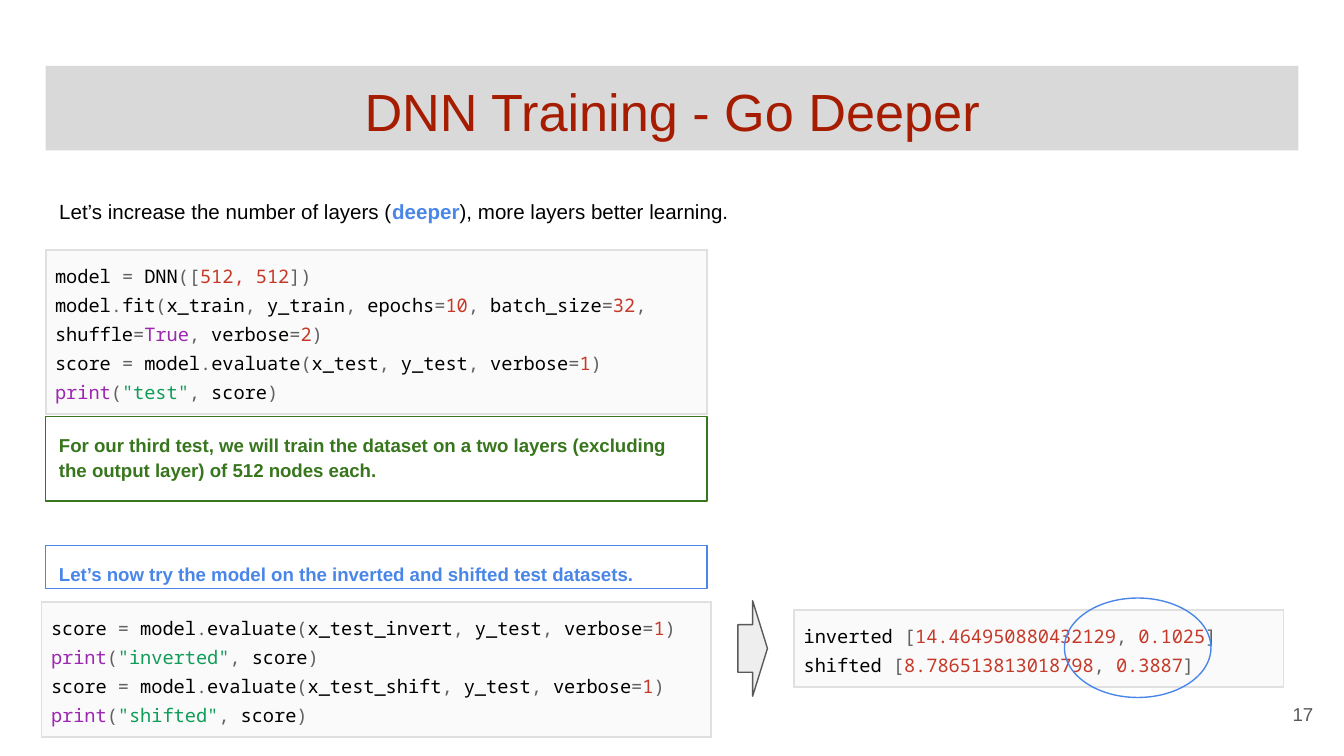
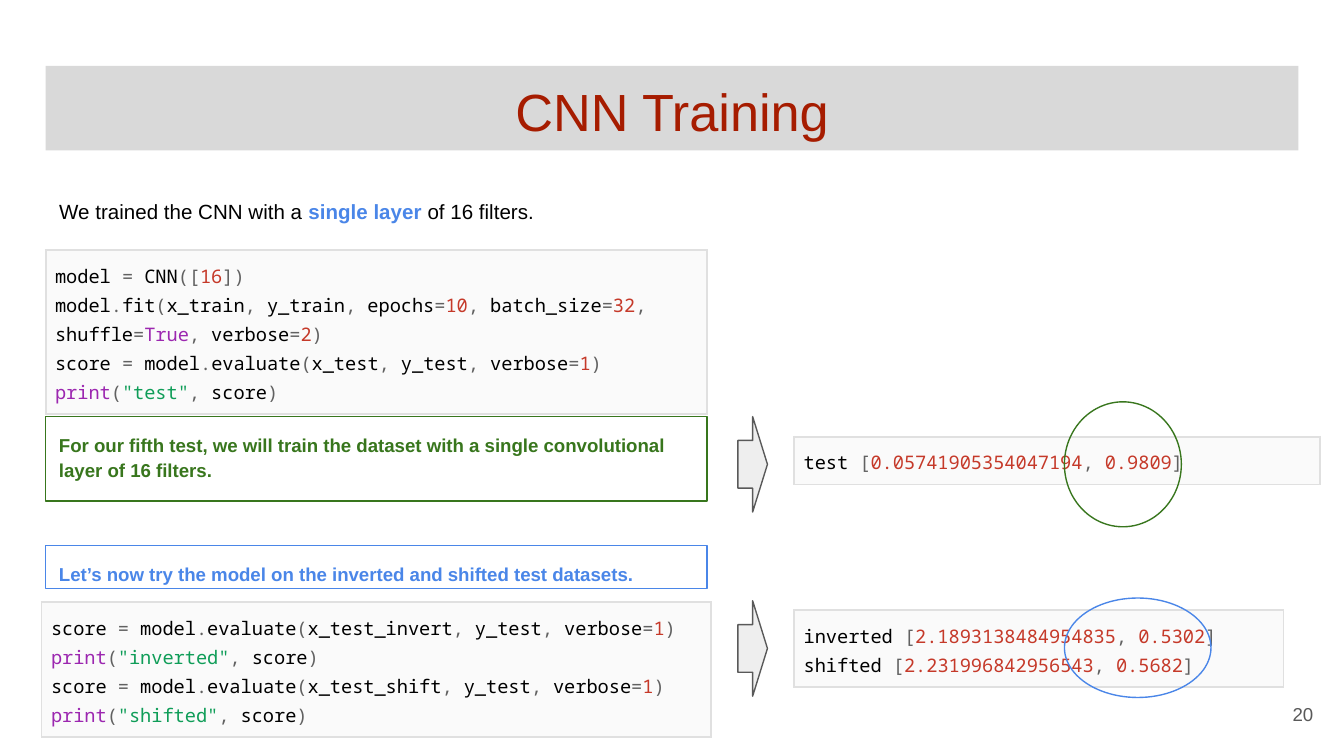
"""Build two slides on training a deeper DNN and a CNN."""
import pptx
import pptx.dml.color
import pptx.enum.shapes
import pptx.enum.text
import pptx.oxml
import pptx.oxml.ns
import pptx.util

Inches = pptx.util.Inches
Pt = pptx.util.Pt
RGBColor = pptx.dml.color.RGBColor
MSO_SHAPE = pptx.enum.shapes.MSO_SHAPE
MSO_ANCHOR = pptx.enum.text.MSO_ANCHOR
PP_ALIGN = pptx.enum.text.PP_ALIGN

COLORS = {
    "title": "A61C00", "band": "D9D9D9", "text": "000000", "number": "595959",
    "green": "38761D", "blue": "4A86E8", "arrow": "EEEEEE",
    "code_fill": "FAFAFA", "code_border": "E0E0E0", "symbol": "616161",
    "value": "C53929", "keyword": "9C27B0", "string": "0F9D58",
}
BODY_FONT = "Arial"
CODE_FONT = "Noto Sans Mono"
LEFT, BOX_WIDTH, FULL_WIDTH = 0.34, 4.92, 9.32

TRAINING_CODE = [
    "model|.|fit|(|x_train|,| y_train|,| epochs|=|10|,| batch_size|=|32|,| shuffle|=|True|,| verbose|=|2|)",
    "score |=| model|.|evaluate|(|x_test|,| y_test|,| verbose|=|1|)",
    'print|(|"test"|,| score|)',
]
EVALUATION_CODE = [
    "score |=| model|.|evaluate|(|x_test_invert|,| y_test|,| verbose|=|1|)",
    'print|(|"inverted"|,| score|)',
    "score |=| model|.|evaluate|(|x_test_shift|,| y_test|,| verbose|=|1|)",
    'print|(|"shifted"|,| score|)',
]
TRY_TEXT = "Let’s now try the model on the inverted and shifted test datasets."

SLIDES = [
    {
        "title": "DNN Training - Go Deeper",
        "number": "17",
        "lead": ("Let’s increase the number of layers (", "deeper", "), more layers better learning."),
        "model": "model |=| DNN|([|512, 512|])",
        "note": "For our third test, we will train the dataset on a two layers "
                "(excluding the output layer) of 512 nodes each.",
        "shifted": ["inverted |[|14.464950880432129|, |0.1025|]",
                    "shifted |[|8.786513813018798|, |0.3887|]"],
        "test": [],
    },
    {
        "title": "CNN Training",
        "number": "20",
        "lead": ("We trained the CNN with a ", "single layer", " of 16 filters."),
        "model": "model |=| CNN|([|16|])",
        "note": "For our fifth test, we will train the dataset with a single "
                "convolutional layer of 16 filters.",
        "shifted": ["inverted |[|2.1893138484954835|, |0.5302|]",
                    "shifted |[|2.231996842956543|, |0.5682|]"],
        "test": ["test |[|0.05741905354047194|, |0.9809|]"],
    },
]


def add_run(paragraph, text, color, size, font=BODY_FONT, bold=False):
    run = paragraph.add_run()
    run.text = text
    run.font.name = font
    run.font.size = Pt(size)
    run.font.bold = bold
    run.font.color.rgb = RGBColor.from_string(COLORS[color])


def add_code(slide, left, top, width, height, lines):
    table = slide.shapes.add_table(
        1, 1, Inches(left), Inches(top), Inches(width), Inches(height)).table
    table.first_row = False
    table.horz_banding = False
    cell = table.cell(0, 0)
    cell.margin_left = cell.margin_right = Inches(0.07)
    cell.margin_top = cell.margin_bottom = Inches(0.07)
    for side in ("lnL", "lnR", "lnT", "lnB"):
        cell._tc.get_or_add_tcPr().append(pptx.oxml.parse_xml(
            f'<a:{side} {pptx.oxml.ns.nsdecls("a")} w="12700"><a:solidFill>'
            f'<a:srgbClr val="{COLORS["code_border"]}"/></a:solidFill></a:{side}>'))
    cell.fill.solid()
    cell.fill.fore_color.rgb = RGBColor.from_string(COLORS["code_fill"])
    for index, line in enumerate(lines):
        paragraph = cell.text_frame.add_paragraph() if index else cell.text_frame.paragraphs[0]
        paragraph.line_spacing = 1.15
        for token in line.split("|"):
            word = token.strip()
            if word in ("print", "True"):
                color = "keyword"
            elif word[0] == '"':
                color = "string"
            elif word[0].isdigit():
                color = "value"
            elif word[0].isalpha():
                color = "text"
            else:
                color = "symbol"
            add_run(paragraph, token, color, 10, CODE_FONT)


presentation = pptx.Presentation()
presentation.slide_width = Inches(10)
presentation.slide_height = Inches(10) * 9 // 16

for content in SLIDES:
    slide = presentation.slides.add_slide(presentation.slide_layouts[1])
    title, lead = slide.placeholders
    number = slide.shapes.add_textbox(Inches(9.27), Inches(5.1), Inches(0.6), Inches(0.43))

    for shape, top in ((title, 0.49), (lead, 1.35)):
        shape.left, shape.top = Inches(LEFT), Inches(top)
        shape.width, shape.height = Inches(FULL_WIDTH), Inches(0.63)
    for shape in (title, lead, number):
        frame = shape.text_frame
        frame.word_wrap = True
        frame.auto_size = pptx.enum.text.MSO_AUTO_SIZE.NONE
        frame.vertical_anchor = MSO_ANCHOR.TOP
        frame.margin_left = frame.margin_right = Inches(0.1)
        frame.margin_top = frame.margin_bottom = Inches(0.1)

    title.fill.solid()
    title.fill.fore_color.rgb = RGBColor.from_string(COLORS["band"])
    paragraph = title.text_frame.paragraphs[0]
    paragraph.alignment = PP_ALIGN.CENTER
    add_run(paragraph, content["title"], "title", 28)

    number.text_frame.vertical_anchor = MSO_ANCHOR.MIDDLE
    paragraph = number.text_frame.paragraphs[0]
    paragraph.alignment = PP_ALIGN.RIGHT
    add_run(paragraph, content["number"], "number", 10)

    paragraph = lead.text_frame.paragraphs[0]
    properties = paragraph._p.get_or_add_pPr()
    properties.set("marL", "0")
    properties.set("indent", "0")
    properties.append(pptx.oxml.parse_xml(f'<a:buNone {pptx.oxml.ns.nsdecls("a")}/>'))
    paragraph.space_before = Pt(0)
    paragraph.line_spacing = 1.15
    before, highlight, after = content["lead"]
    add_run(paragraph, before, "text", 11)
    add_run(paragraph, highlight, "blue", 11, bold=True)
    add_run(paragraph, after, "text", 11)

    add_code(slide, LEFT, 1.86, BOX_WIDTH, 1.22, [content["model"]] + TRAINING_CODE)
    add_code(slide, 0.31, 4.48, 4.98, 1, EVALUATION_CODE)

    for text, color, top, height in (
            (content["note"], "green", 3.1, 0.63), (TRY_TEXT, "blue", 4.06, 0.32)):
        box = slide.shapes.add_shape(
            MSO_SHAPE.RECTANGLE, Inches(LEFT), Inches(top), Inches(BOX_WIDTH), Inches(height))
        box.shadow.inherit = False
        box.fill.background()
        box.line.color.rgb = RGBColor.from_string(COLORS[color])
        box.line.width = Pt(0.75)
        frame = box.text_frame
        frame.word_wrap = True
        frame.vertical_anchor = MSO_ANCHOR.TOP
        frame.margin_left = frame.margin_right = Inches(0.1)
        frame.margin_top = frame.margin_bottom = Inches(0.1)
        paragraph = frame.paragraphs[0]
        paragraph.alignment = PP_ALIGN.LEFT
        paragraph.line_spacing = 1.15
        add_run(paragraph, text, color, 10, bold=True)

    for lines, code_top, code_width, code_height, arrow_top, color, ring_top, ring_width, ring_height in (
            (content["shifted"], 4.54, 3.64, 0.56, 4.47, "blue", 4.45, 1.09, 0.74),
            (content["test"], 3.25, 3.91, 0.32, 3.1, "green", 2.99, 0.87, 0.93)):
        if not lines:
            continue
        add_code(slide, 5.91, code_top, code_width, code_height, lines)
        arrow = slide.shapes.add_shape(
            MSO_SHAPE.RIGHT_ARROW, Inches(5.49), Inches(arrow_top), Inches(0.22), Inches(0.71))
        arrow.fill.solid()
        arrow.fill.fore_color.rgb = RGBColor.from_string(COLORS["arrow"])
        ring = slide.shapes.add_shape(
            MSO_SHAPE.OVAL, Inches(7.92), Inches(ring_top), Inches(ring_width), Inches(ring_height))
        ring.fill.background()
        for shape, line_color in ((arrow, "number"), (ring, color)):
            shape.shadow.inherit = False
            shape.line.color.rgb = RGBColor.from_string(COLORS[line_color])
            shape.line.width = Pt(0.75)

presentation.save("out.pptx")
